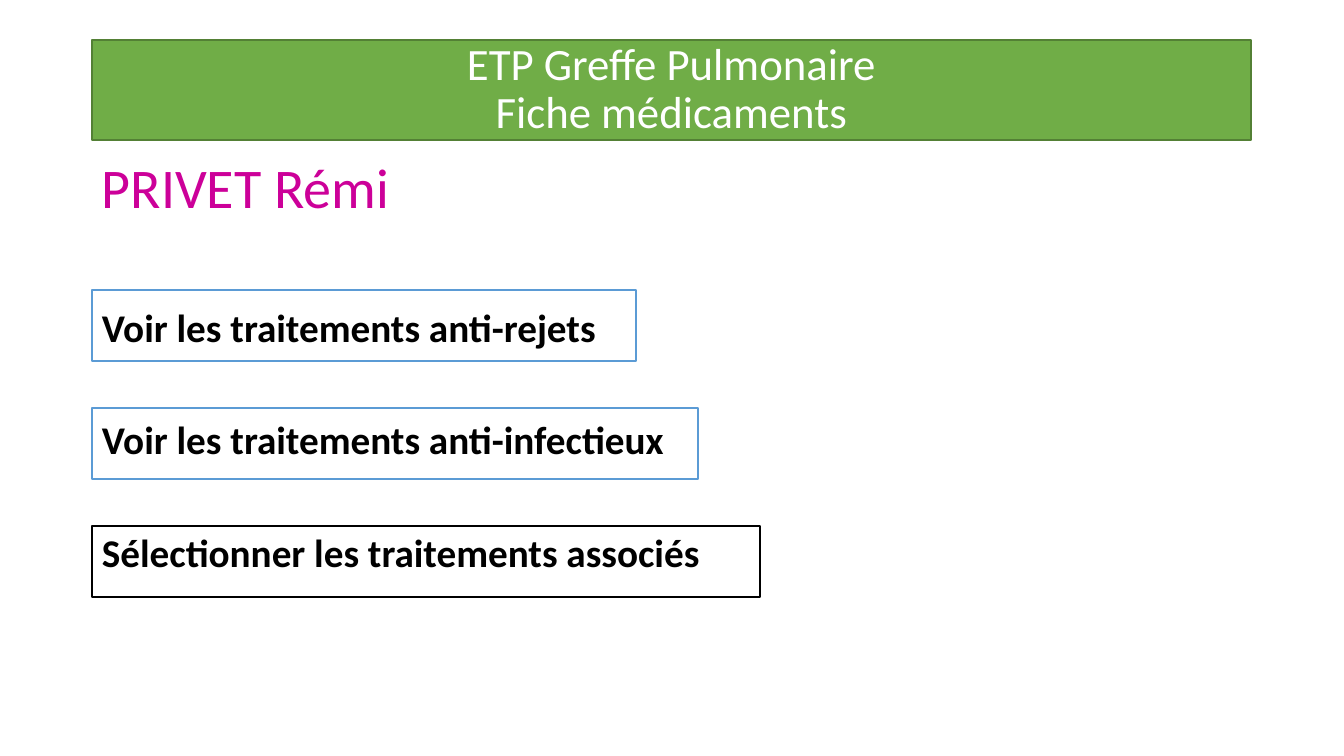
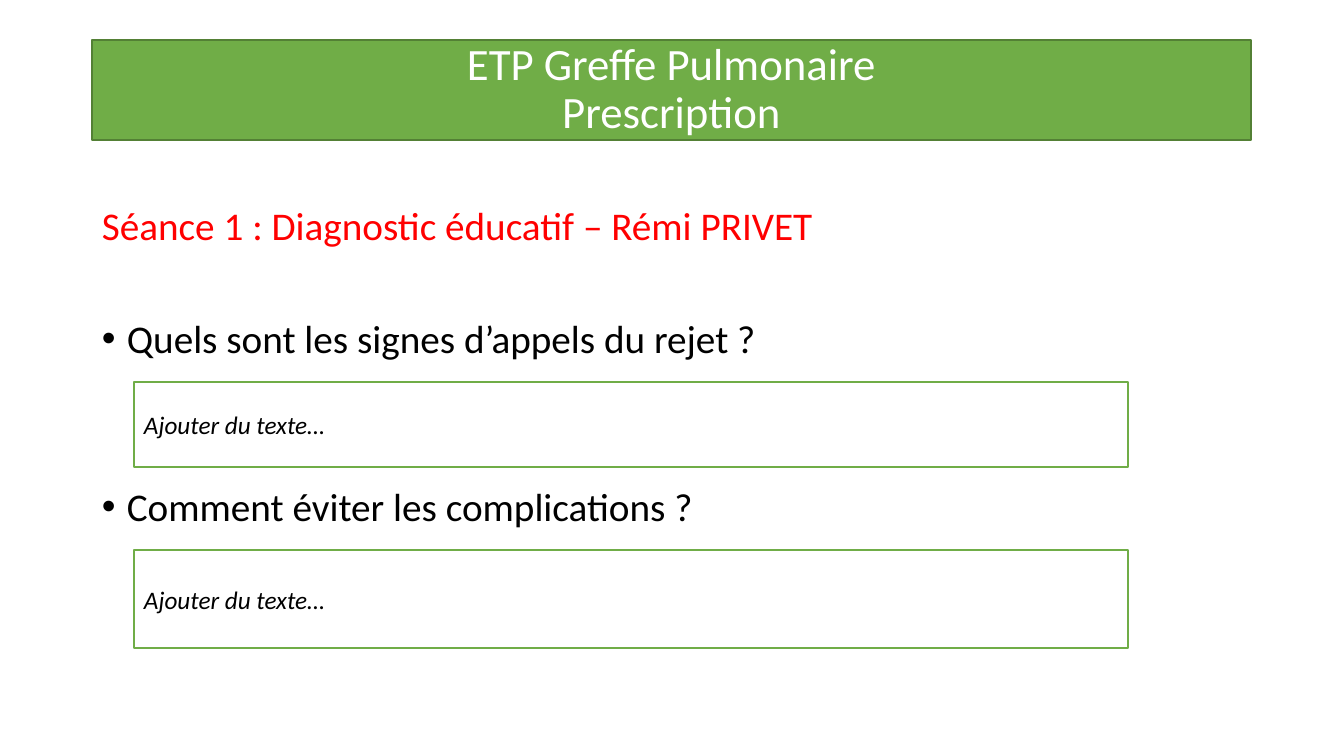
from lxml import etree
from pptx import Presentation
from pptx import util as u
from pptx.dml.color import RGBColor
from pptx.enum import shapes, text
from pptx.oxml.ns import qn

PIXEL = 914400 / 100.8  # EMU per pixel
FONT = "Calibri"
WHITE, BLACK, RED, MAGENTA = "FFFFFF", "000000", "FF0000", "CC0099"
GREEN, DARK_GREEN, BLUE = "70AD47", "538035", "5B9BD5"
LEFT, WIDTH = 92, 1159
INDENT = 25


def px(value):
    return u.Emu(round(value * PIXEL))


def colour(value):
    return RGBColor.from_string(value)


def paint(shape, fill, line):
    shape.fill.solid()
    shape.fill.fore_color.rgb = colour(fill)
    shape.line.color.rgb = colour(line)
    shape.line.width = u.Pt(1)


def add_span(para, words, size, ink, bold=False, italic=False):
    span = para.add_run()
    span.text = words
    font = span.font
    font.name, font.size = FONT, u.Pt(size)
    font.bold, font.italic = bold, italic
    font.color.rgb = colour(ink)


def add_bullet(para):
    props = para._p.get_or_add_pPr()
    props.set("marL", str(px(INDENT)))
    props.set("indent", str(-px(INDENT)))
    etree.SubElement(props, qn("a:buFont")).set("typeface", "Arial")
    etree.SubElement(props, qn("a:buChar")).set("char", "•")


# Shared title band
def add_page(deck, subtitle):
    page = deck.slides.add_slide(deck.slide_layouts[5])
    band = page.shapes.title
    band.left, band.top, band.width, band.height = map(px, (LEFT, 40, WIDTH, 100))
    paint(band, GREEN, DARK_GREEN)
    frame = band.text_frame
    frame.word_wrap = True
    frame.auto_size = text.MSO_AUTO_SIZE.NONE
    frame.vertical_anchor = text.MSO_ANCHOR.MIDDLE
    para = frame.paragraphs[0]
    para.alignment = text.PP_ALIGN.CENTER
    para.line_spacing = 0.9
    add_span(para, "ETP Greffe Pulmonaire", 32, WHITE)
    para.add_line_break()
    add_span(para, subtitle, 32, WHITE)
    return page


def add_box(page, left, top, width, height, line, words=""):
    box = page.shapes.add_shape(
        shapes.MSO_SHAPE.RECTANGLE, *map(px, (left, top, width, height)))
    box.shadow.inherit = False
    paint(box, WHITE, line)
    if words:
        frame = box.text_frame
        frame.word_wrap = True
        frame.vertical_anchor = text.MSO_ANCHOR.MIDDLE
        para = frame.paragraphs[0]
        para.alignment = text.PP_ALIGN.LEFT
        add_span(para, words, 18, BLACK, italic=True)


def add_body(page, top, height, lines):
    """Each line: words, size, ink, bold, bulleted, points before."""
    frame = page.shapes.add_textbox(*map(px, (LEFT, top, WIDTH, height))).text_frame
    frame.word_wrap = True
    for index, (words, size, ink, bold, bulleted, before) in enumerate(lines):
        para = frame.add_paragraph() if index else frame.paragraphs[0]
        para.line_spacing = 0.9
        para.space_before = u.Pt(before)
        if bulleted:
            add_bullet(para)
        add_span(para, words, size, ink, bold)


def add_medicines(deck):
    page = add_page(deck, "Fiche médicaments")
    for row, line in enumerate((BLUE, BLUE, BLACK)):
        add_box(page, LEFT, 290 + 118 * row, 544 + 62 * row, 71, line)
    add_body(page, 155, 575, [
        ("PRIVET Rémi", 40, MAGENTA, False, False, 10),
        ("Voir les traitements anti-rejets", 28, BLACK, True, False, 63),
        ("Voir les traitements anti-infectieux", 28, BLACK, True, False, 50),
        ("Sélectionner les traitements associés", 28, BLACK, True, False, 50),
    ])


def add_prescription(deck):
    page = add_page(deck, "Prescription")
    add_body(page, 202, 480, [
        ("Séance 1 : Diagnostic éducatif – Rémi PRIVET", 28, RED, False, False, 10),
        ("Quels sont les signes d’appels du rejet ?", 28, BLACK, False, True, 50),
        ("Comment éviter les complications ?", 28, BLACK, False, True, 90),
    ])
    for top, height in ((382, 85), (550, 98)):
        add_box(page, 134, top, 994, height, GREEN, "Ajouter du texte…")


def main():
    deck = Presentation()
    deck.slide_width, deck.slide_height = px(1344), px(756)
    add_medicines(deck)
    add_prescription(deck)
    deck.save("out.pptx")


main()
